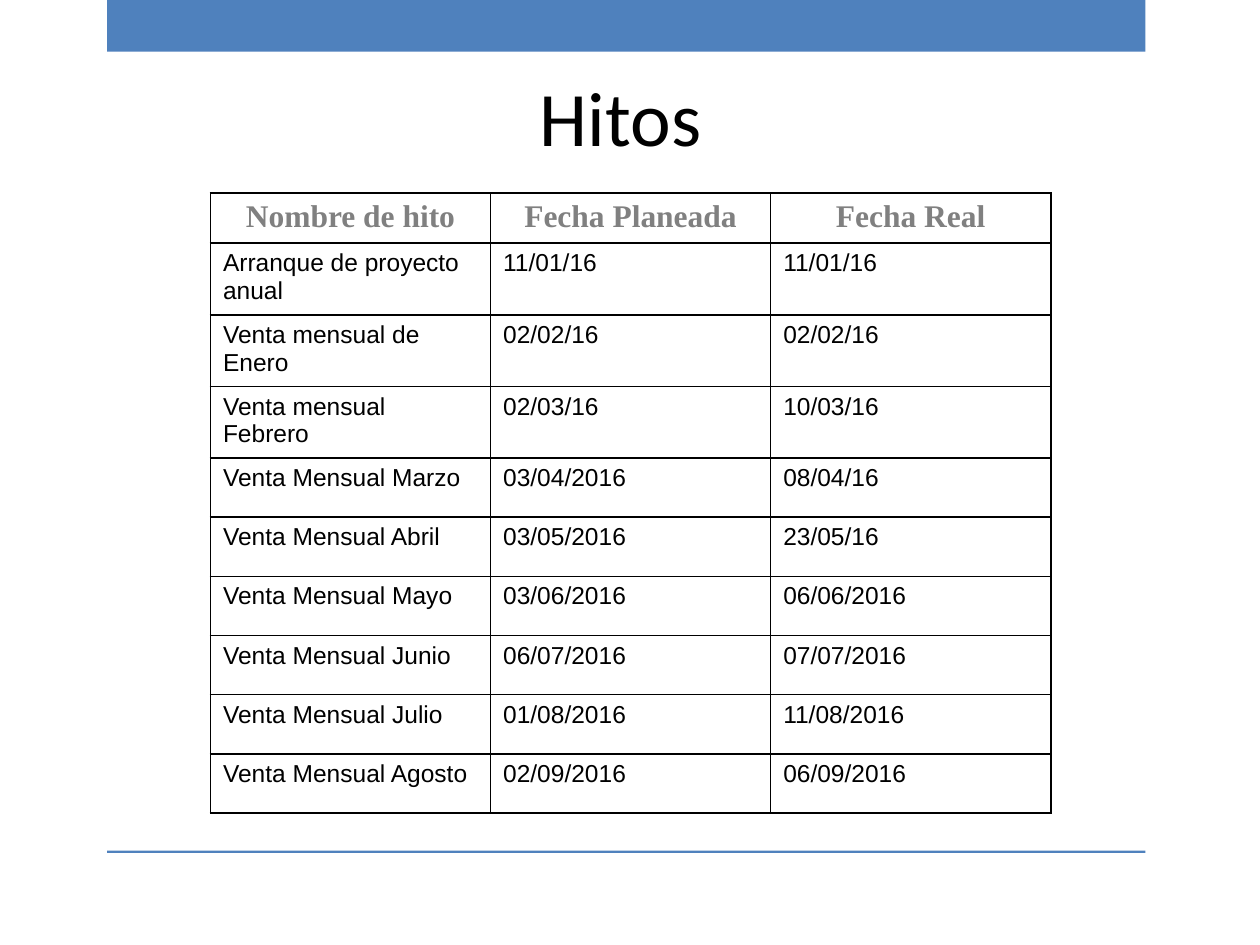
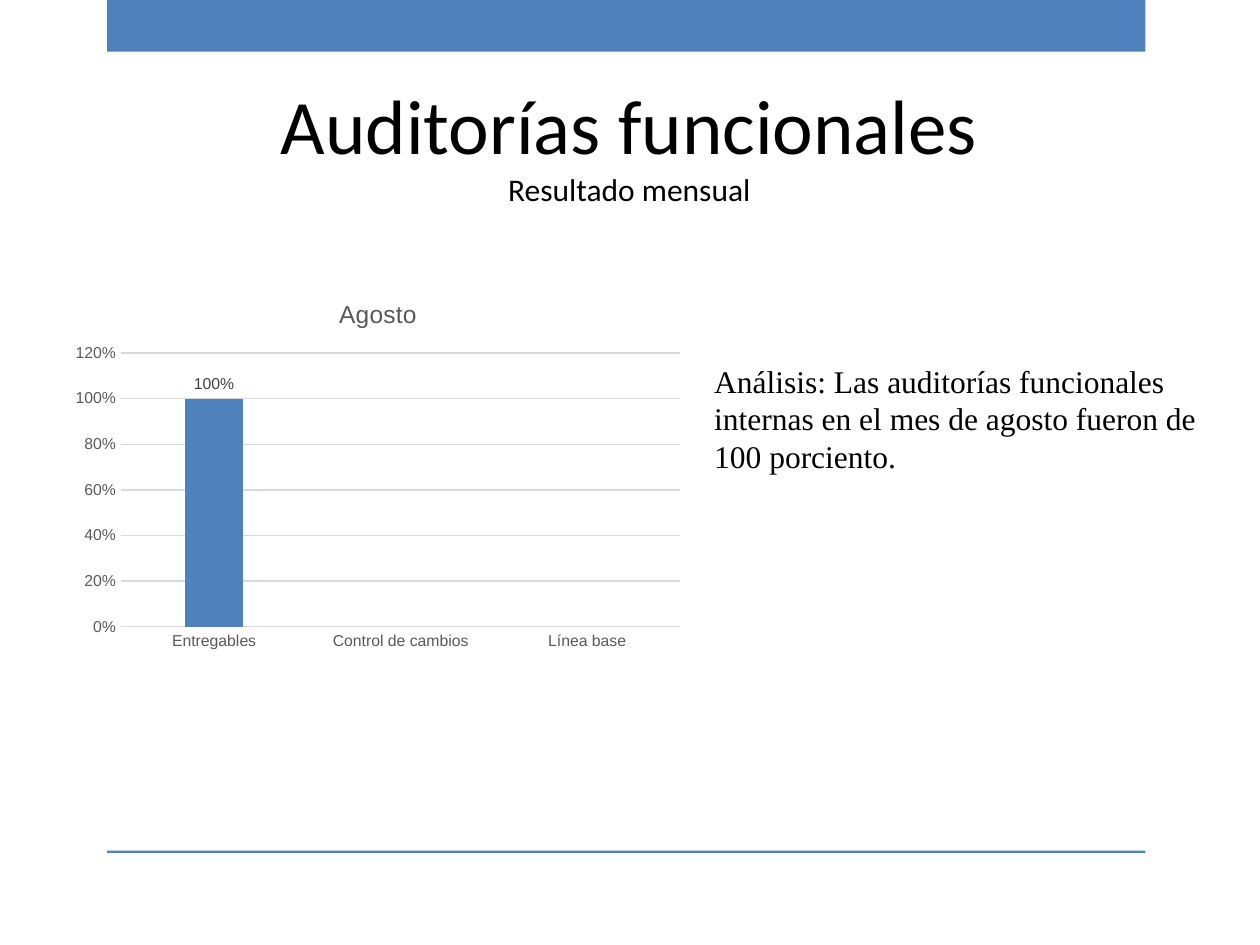
from lxml.etree import SubElement as Sub
from pptx import Presentation
from pptx.chart.data import CategoryChartData as Data
from pptx.dml.color import RGBColor as Rgb
from pptx.enum.chart import XL_CHART_TYPE as Kind
from pptx.enum.chart import XL_LABEL_POSITION as Spot
from pptx.enum.chart import XL_TICK_MARK as Tick
from pptx.enum.shapes import MSO_SHAPE as Shape
from pptx.enum.text import MSO_ANCHOR as Anchor
from pptx.enum.text import PP_ALIGN as Align
from pptx.oxml.ns import qn
from pptx.util import Pt

PX = 9144  # 100 px to the inch
INK = {"blue": "4F81BD", "black": "000000", "white": "FFFFFF", "head": "808080",
       "axis": "595959", "label": "404040", "grid": "D9D9D9"}

HEADS = ["Nombre de hito", "Fecha Planeada", "Fecha Real"]
DATES = [
    ("Arranque de proyecto anual", "11/01/16", "11/01/16"),
    ("Venta mensual de Enero", "02/02/16", "02/02/16"),
    ("Venta mensual Febrero", "02/03/16", "10/03/16"),
    ("Venta Mensual Marzo", "03/04/2016", "08/04/16"),
    ("Venta Mensual Abril", "03/05/2016", "23/05/16"),
    ("Venta Mensual Mayo", "03/06/2016", "06/06/2016"),
    ("Venta Mensual Junio", "06/07/2016", "07/07/2016"),
    ("Venta Mensual Julio", "01/08/2016", "11/08/2016"),
    ("Venta Mensual Agosto", "02/09/2016", "06/09/2016"),
]
HIGHS = [38, 57, 54, 54] + [47] * 6


def emu(*box):
    return [n * PX for n in box]


def rgb(ink):
    return Rgb.from_string(INK[ink])


def style(font, face, size, ink, bold=False):
    font.name, font.size, font.bold = face, Pt(size), bold
    font.color.rgb = rgb(ink)


def write(para, text, face, size, ink="black", bold=False, align=Align.LEFT):
    para.alignment = align
    run = para.add_run()
    run.text = text
    style(run.font, face, size, ink, bold)


def add_bar(slide, *box):
    bar = slide.shapes.add_shape(Shape.RECTANGLE, *emu(*box))
    bar.shadow.inherit = False
    bar.fill.solid()
    bar.fill.fore_color.rgb = rgb("blue")
    bar.line.fill.background()


def add_text(slide, box, lines, face, align=Align.LEFT, anchor=Anchor.TOP):
    """Add a text box with one paragraph for each (text, size) in lines."""
    frame = slide.shapes.add_textbox(*emu(*box)).text_frame
    frame.word_wrap = True
    frame.vertical_anchor = anchor
    for i, (text, size) in enumerate(lines):
        para = frame.add_paragraph() if i else frame.paragraphs[0]
        write(para, text, face, size, align=align)


def add_page(deck, top, lines):
    """Add a slide with the shared bands and a centred title."""
    slide = deck.slides.add_slide(deck.slide_layouts[6])
    add_bar(slide, 85, 0, 824, 41)
    add_bar(slide, 85, 675, 824, 2)
    add_text(slide, (50, top, 899, 124), lines, "Calibri", Align.CENTER, Anchor.MIDDLE)
    return slide


def set_edges(cell):
    props = cell._tc.get_or_add_tcPr()
    for side in "LRTB":
        line = Sub(props, qn("a:ln" + side), w=str(Pt(1)))
        fill = Sub(line, qn("a:solidFill"))
        Sub(fill, qn("a:srgbClr"), val=INK["black"])


def add_grid(slide, box, heads, rows, highs):
    grid = slide.shapes.add_table(len(rows) + 1, len(heads), *emu(*box)).table
    grid.first_row = grid.horz_banding = False
    for row, high in zip(grid.rows, highs):
        row.height = high * PX
    for r, texts in enumerate([heads, *rows]):
        for c, text in enumerate(texts):
            cell = grid.cell(r, c)
            set_edges(cell)
            cell.fill.solid()
            cell.fill.fore_color.rgb = rgb("white")
            para = cell.text_frame.paragraphs[0]
            if r:
                write(para, text, "Arial", 14)
            else:
                write(para, text, "Times New Roman", 18, "head", True, Align.CENTER)


def set_line(line):
    line.color.rgb = rgb("grid")
    line.width = Pt(0.75)


def add_chart(slide, box, name, cats, vals):
    data = Data(number_format="0%")
    data.categories = cats
    data.add_series(name, vals)
    chart = slide.shapes.add_chart(Kind.COLUMN_CLUSTERED, *emu(*box), data).chart
    style(chart.font, "Arial", 10, "black")
    chart.has_legend = False
    chart.has_title = True
    title = chart.chart_title
    title.include_in_layout = False
    write(title.text_frame.paragraphs[0], name, "Arial", 14, "axis", align=None)

    for axis in (chart.category_axis, chart.value_axis):
        axis.major_tick_mark = axis.minor_tick_mark = Tick.NONE
        style(axis.tick_labels.font, "Arial", 9, "axis")
    set_line(chart.category_axis.format.line)
    axis = chart.value_axis
    axis.minimum_scale, axis.maximum_scale, axis.major_unit = 0, 1.2, 0.2
    axis.format.line.fill.background()
    set_line(axis.major_gridlines.format.line)
    axis.tick_labels.number_format = "0%"
    axis.tick_labels.number_format_is_linked = False

    plot = chart.plots[0]
    plot.gap_width, plot.overlap = 219, -27
    plot.vary_by_categories = False
    bars = plot.series[0]
    bars.format.fill.solid()
    bars.format.fill.fore_color.rgb = rgb("blue")
    tags = bars.data_labels
    tags.show_value = True
    tags.position = Spot.OUTSIDE_END
    tags.number_format, tags.number_format_is_linked = "0%", False
    style(tags.font, "Arial", 9, "label")


def main():
    deck = Presentation()
    deck.slide_width, deck.slide_height = emu(1000, 750)

    slide = add_page(deck, 30, [("Hitos ", 44)])
    add_grid(slide, (167, 153, 667, sum(HIGHS)), HEADS, DATES, HIGHS)

    slide = add_page(deck, 51, [("Auditorías funcionales", 44), ("Resultado mensual", 18)])
    note = ("Análisis: Las auditorías funcionales internas en el mes de agosto "
            "fueron de 100 porciento.")
    add_text(slide, (557, 282, 429, 279), [(note, 18)], "Times New Roman")
    add_chart(slide, (50, 222, 500, 300), "Agosto",
              ["Entregables", "Control de cambios", "Línea base"], [1, None, None])

    deck.save("out.pptx")


if __name__ == "__main__":
    main()
